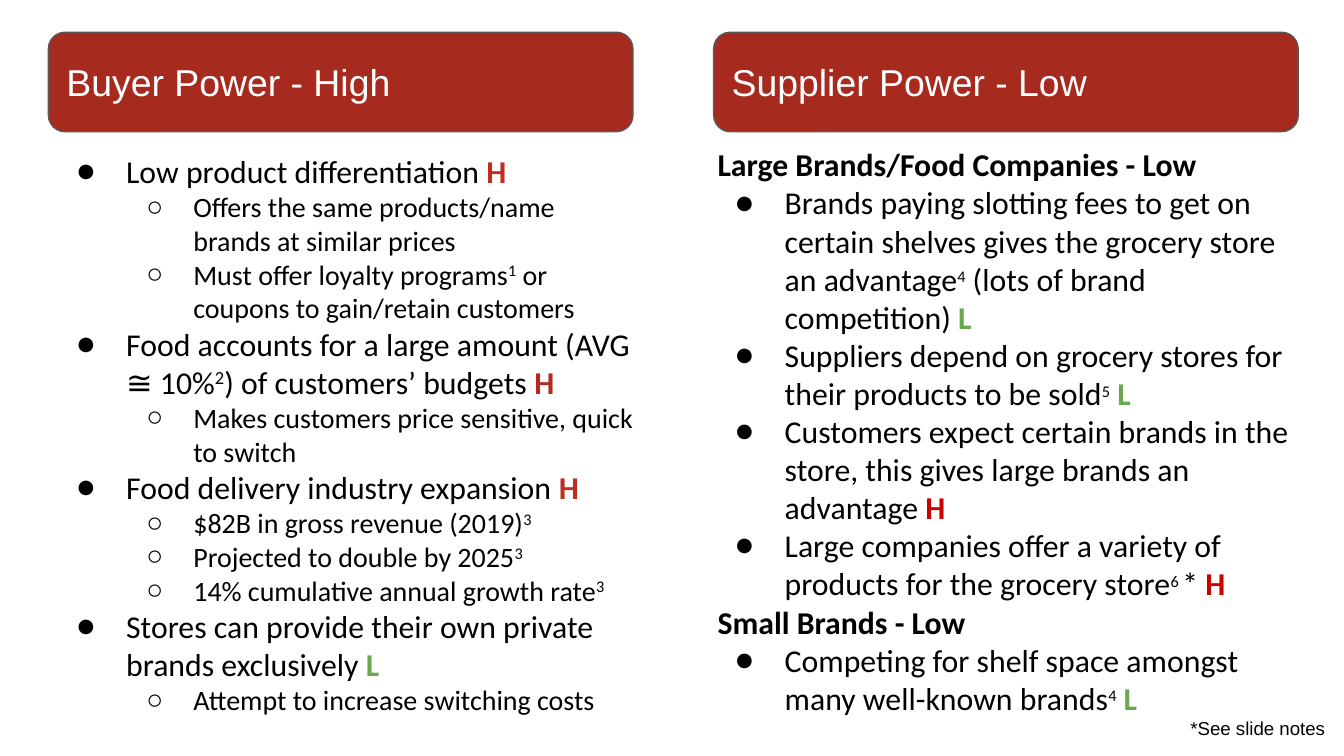
from dataclasses import dataclass

from lxml.etree import SubElement
from pptx import Presentation
from pptx.dml.color import RGBColor
from pptx.enum.shapes import MSO_SHAPE
from pptx.enum.text import MSO_ANCHOR, PP_ALIGN
from pptx.oxml.ns import qn
from pptx.util import Inches, Pt


@dataclass(frozen=True)
class Theme:
    heading_font: str = "Arial"
    body_font: str = "Calibri"
    heading_size: int = 20
    point_size: int = 17
    detail_size: int = 15
    footnote_size: int = 10
    banner: str = "A72A1E"
    outline: str = "595959"
    white: str = "FFFFFF"
    text: str = "000000"
    low: str = "6AA84F"
    buyer_high: str = "BE2F22"
    budget_high: str = "B02C20"
    supplier_high: str = "CC0000"


THEME = Theme()
LOW = ("L", "low")
BUYER_HIGH = ("H", "buyer_high")
BUDGET_HIGH = ("H", "budget_high")
SUPPLIER_HIGH = ("H", "supplier_high")


def note(mark):
    """Return a superscript reference run."""
    return (mark, "note")


BUYER_POINTS = [
    ("point", ["Low product differentiation ", BUYER_HIGH]),
    ("detail", ["Offers the same products/name brands at similar prices"]),
    ("detail", ["Must offer loyalty programs", note("1"), " or coupons to gain/retain customers"]),
    ("point", ["Food accounts for a large amount (AVG ≅ 10%", note("2"),
               ") of customers’ budgets ", BUDGET_HIGH]),
    ("detail", ["Makes customers price sensitive, quick to switch"]),
    ("point", ["Food delivery industry expansion ", BUYER_HIGH]),
    ("detail", ["$82B in gross revenue (2019)", note("3")]),
    ("detail", ["Projected to double by 2025", note("3")]),
    ("detail", ["14% cumulative annual growth rate", note("3")]),
    ("point", ["Stores can provide their own private brands exclusively ", LOW]),
    ("detail", ["Attempt to increase switching costs"]),
]
SUPPLIER_POINTS = [
    ("group", [("Large Brands/Food Companies - Low", "text")]),
    ("point", ["Brands paying slotting fees to get on certain shelves gives the grocery store an advantage",
               note("4"), " (lots of brand competition) ", LOW]),
    ("point", ["Suppliers depend on grocery stores for their products to be sold", note("5"), " ", LOW]),
    ("point", ["Customers expect certain brands in the store, this gives large brands an advantage ",
               SUPPLIER_HIGH]),
    ("point", ["Large companies offer a variety of products for the grocery store", note("6 "),
               "* ", SUPPLIER_HIGH]),
    ("group", [("Small Brands - Low", "text")]),
    ("point", ["Competing for shelf space amongst many well-known brands", note("4"), " ", LOW]),
]
COLUMNS = [
    {"heading": "Buyer Power - High", "banner_left": 0.36, "box": (0.34, 0.06, 4.49, 5.42),
     "top_inset": 1.07, "note_size": None, "points": BUYER_POINTS},
    {"heading": "Supplier Power - Low", "banner_left": 5.31, "box": (5.24, 0.98, 4.49, 4.49),
     "top_inset": 0.1, "note_size": THEME.detail_size, "points": SUPPLIER_POINTS},
]
FOOTNOTE = "*See slide notes"
BULLETS = {
    "point": ("●", THEME.body_font, 0, 0.5, -0.37),
    "detail": ("○", THEME.heading_font, 1, 1, -0.35),
}


def add_run(paragraph, text, font, size, color, bold=False):
    """Add one formatted run."""
    run = paragraph.add_run()
    run.text = text
    run.font.name = font
    run.font.size = Pt(size)
    run.font.bold = bold
    run.font.color.rgb = RGBColor.from_string(color)
    return run


def set_bullet(paragraph, kind):
    """Give a paragraph its bullet and hanging indent."""
    character, font, level, margin, indent = BULLETS[kind]
    paragraph.level = level
    properties = paragraph._p.get_or_add_pPr()
    properties.set("marL", str(Inches(margin)))
    properties.set("indent", str(Inches(indent)))
    color = SubElement(properties, qn("a:buClr"))
    SubElement(color, qn("a:srgbClr"), val=THEME.text)
    SubElement(properties, qn("a:buFont"), typeface=font)
    SubElement(properties, qn("a:buChar"), char=character)


def add_text_box(slide, box, top_inset=0.1):
    """Add a wrapping text box and return its text frame."""
    frame = slide.shapes.add_textbox(*map(Inches, box)).text_frame
    frame.word_wrap = True
    frame.margin_left = frame.margin_right = frame.margin_bottom = Inches(0.1)
    frame.margin_top = Inches(top_inset)
    return frame


def add_points(slide, column):
    """Add the rated points of one column."""
    frame = add_text_box(slide, column["box"], column["top_inset"])
    for index, (kind, parts) in enumerate(column["points"]):
        paragraph = frame.paragraphs[0] if index == 0 else frame.add_paragraph()
        if kind in BULLETS:
            set_bullet(paragraph, kind)
        size = THEME.detail_size if kind == "detail" else THEME.point_size
        for part in parts:
            if isinstance(part, str):
                add_run(paragraph, part, THEME.body_font, size, THEME.text)
            elif part[1] == "note":
                run = add_run(paragraph, part[0], THEME.body_font,
                              column["note_size"] or size, THEME.text)
                run._r.get_or_add_rPr().set("baseline", "30000")
            else:
                add_run(paragraph, part[0], THEME.body_font, size, getattr(THEME, part[1]), True)


def add_banner(slide, column):
    """Add the rounded heading of one column."""
    banner = slide.shapes.add_shape(
        MSO_SHAPE.ROUNDED_RECTANGLE, Inches(column["banner_left"]), Inches(0.24),
        Inches(4.35), Inches(0.74))
    banner.shadow.inherit = False
    banner.fill.solid()
    banner.fill.fore_color.rgb = RGBColor.from_string(THEME.banner)
    banner.line.color.rgb = RGBColor.from_string(THEME.outline)
    banner.line.width = Pt(0.75)
    frame = banner.text_frame
    frame.vertical_anchor = MSO_ANCHOR.MIDDLE
    frame.margin_left = frame.margin_right = Inches(0.1)
    frame.margin_top = frame.margin_bottom = Inches(0.1)
    paragraph = frame.paragraphs[0]
    paragraph.alignment = PP_ALIGN.LEFT
    add_run(paragraph, column["heading"], THEME.heading_font, THEME.heading_size, THEME.white)


def main():
    """Build the buyer and supplier power slide."""
    presentation = Presentation()
    presentation.slide_width = Inches(10)
    presentation.slide_height = Inches(10 * 9 / 16)
    slide = presentation.slides.add_slide(presentation.slide_layouts[6])
    for column in COLUMNS:
        add_points(slide, column)
        add_banner(slide, column)
    footnote = add_text_box(slide, (8.76, 5.25, 1.24, 0.37))
    add_run(footnote.paragraphs[0], FOOTNOTE, THEME.heading_font, THEME.footnote_size, THEME.text)
    presentation.save("out.pptx")


if __name__ == "__main__":
    main()
